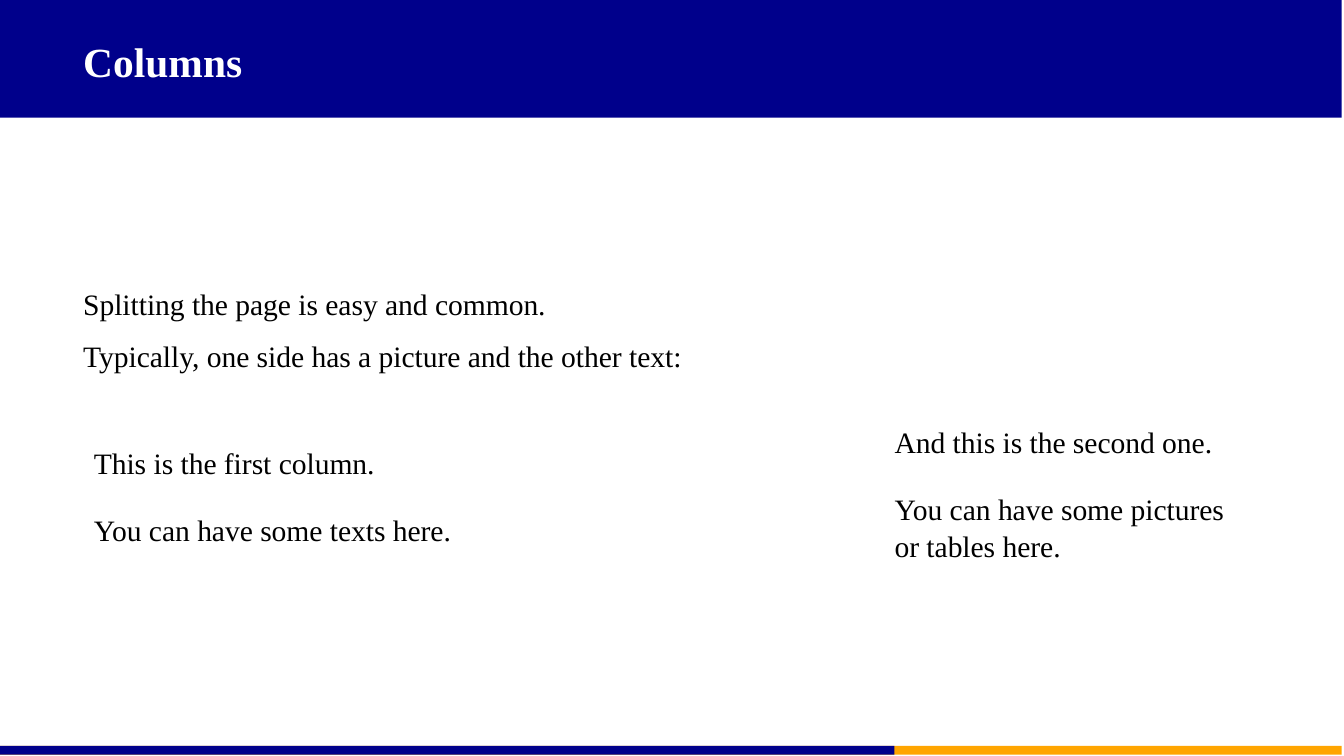
import pptx
import pptx.util
import pptx.dml.color
import pptx.enum.shapes
import pptx.enum.text
import pptx.oxml.ns
import lxml.etree

Pt = pptx.util.Pt
FONT = "Times New Roman"
NAVY, ORANGE, WHITE, BLACK = "00008B", "FFA500", "FFFFFF", "000000"
WIDTH, HEIGHT = 454.3, 255.6
BAR_WIDTH = 453.6

TITLE = "Columns"
INTRO = [
    "Splitting the page is easy and common.",
    "Typically, one side has a picture and the other text:",
]
COLUMNS = [
    (31, 149.8, 135, ["This is the first column.", "You can have some texts here."]),
    (301.7, 142.6, 121, ["And this is the second one.", "You can have some pictures or tables here."]),
]
LINE_HEIGHT = 12
COLUMN_GAP = 10
BARS = [
    (0, 0, BAR_WIDTH, 39.8, NAVY),
    (0, 252.2, BAR_WIDTH, 3, ORANGE),
    (0, 252.2, BAR_WIDTH * 2 / 3, 3, NAVY),
]


def color(value):
    return pptx.dml.color.RGBColor.from_string(value)


def place(sp, x, y, w, h):
    sp.left, sp.top, sp.width, sp.height = Pt(x), Pt(y), Pt(w), Pt(h)


def write(sp, lines, size, gap, ink=BLACK, bold=False, spacing=1.05):
    tf = sp.text_frame
    tf.word_wrap = True
    tf.auto_size = pptx.enum.text.MSO_AUTO_SIZE.NONE
    tf.vertical_anchor = pptx.enum.text.MSO_ANCHOR.TOP
    tf.margin_left = Pt(0.7)
    tf.margin_top = tf.margin_right = tf.margin_bottom = 0
    for i, line in enumerate(lines):
        p = tf.paragraphs[0] if i == 0 else tf.add_paragraph()
        pPr = p._p.get_or_add_pPr()
        pPr.set("marL", "0")
        pPr.set("indent", "0")
        lxml.etree.SubElement(pPr, pptx.oxml.ns.qn("a:buNone"))
        p.alignment = pptx.enum.text.PP_ALIGN.LEFT
        p.line_spacing = spacing
        p.space_before = Pt(gap if i else 0)
        p.space_after = Pt(0)
        r = p.add_run()
        r.text = line
        r.font.name = FONT
        r.font.size = Pt(size)
        r.font.bold = bold
        r.font.color.rgb = color(ink)


def add_bar(s, x, y, w, h, fill):
    sp = s.shapes.add_shape(pptx.enum.shapes.MSO_SHAPE.RECTANGLE, Pt(x), Pt(y), Pt(w), Pt(h))
    sp.shadow.inherit = False
    sp.fill.solid()
    sp.fill.fore_color.rgb = color(fill)
    sp.line.fill.background()
    return sp


def main():
    prs = pptx.Presentation()
    prs.slide_width, prs.slide_height = Pt(WIDTH), Pt(HEIGHT)
    s = prs.slides.add_slide(prs.slide_layouts[1])
    title, intro = s.shapes.title, s.placeholders[1]

    for bar in BARS:
        title.element.addprevious(add_bar(s, *bar).element)

    place(title, 27.4, 12.2, 200, 18)
    write(title, [TITLE], 14, 0, WHITE, True, 1)
    place(intro, 27.4, 96.1, 229, 30)
    write(intro, INTRO, 10, 4.9)

    for x, y, w, lines in COLUMNS:
        h = 3 * LINE_HEIGHT + COLUMN_GAP
        sp = s.shapes.add_textbox(Pt(x), Pt(y), Pt(w), Pt(h))
        write(sp, lines, 10, COLUMN_GAP)

    prs.save("out.pptx")


if __name__ == "__main__":
    main()
